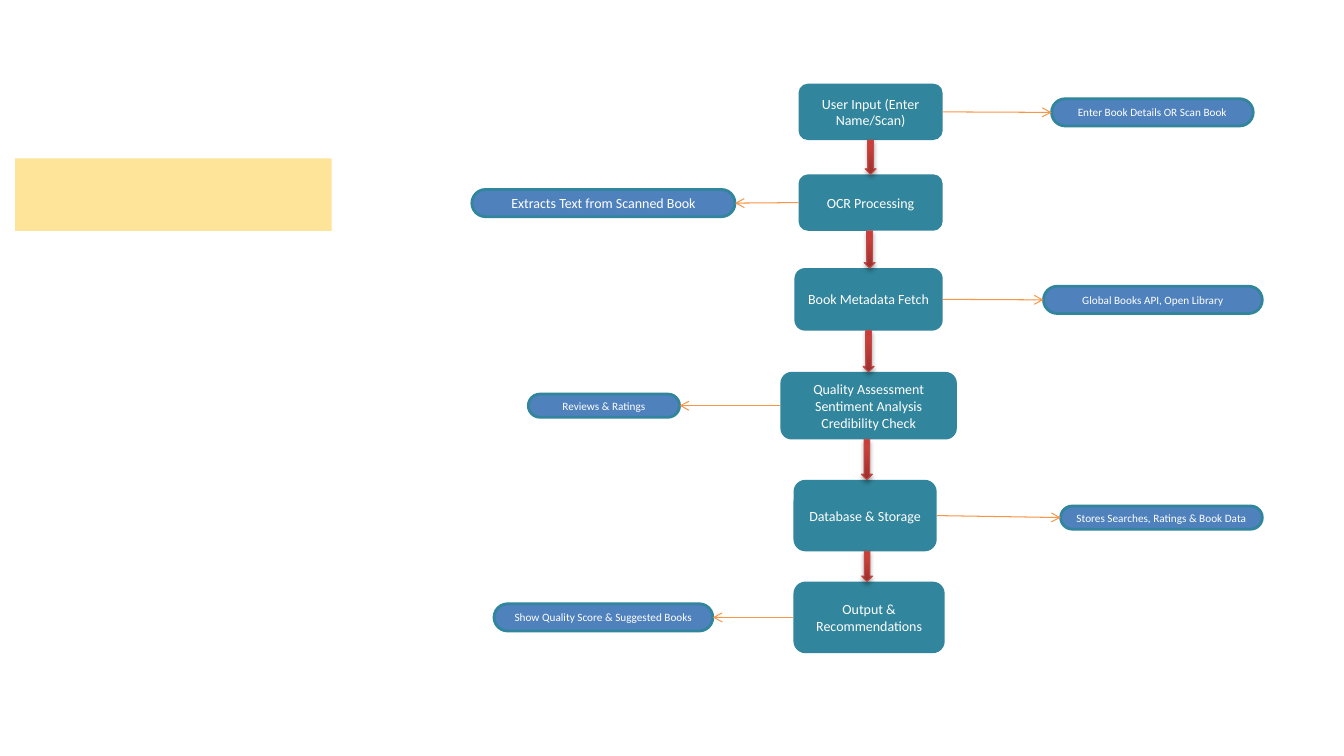
from pptx import Presentation
from pptx.dml.color import RGBColor
from pptx.enum.shapes import MSO_CONNECTOR, MSO_SHAPE
from pptx.enum.text import MSO_ANCHOR, PP_ALIGN
from pptx.oxml import parse_xml
from pptx.oxml.ns import nsdecls, qn
from pptx.util import Inches, Pt

ROUNDED, DOWN_ARROW = MSO_SHAPE.ROUNDED_RECTANGLE, MSO_SHAPE.DOWN_ARROW
RECTANGLE, STRAIGHT = MSO_SHAPE.RECTANGLE, MSO_CONNECTOR.STRAIGHT
MIDDLE, CENTER = MSO_ANCHOR.MIDDLE, PP_ALIGN.CENTER
LEFT_SIDE, RIGHT_SIDE = 1, 3
TEAL, BLUE, ORANGE, RED, YELLOW = "31859C", "4F81BD", "F79646", "BF4C48", "FDE499"

GRADIENT = f"""<a:gradFill {nsdecls('a')} rotWithShape="1"><a:gsLst>
<a:gs pos="0"><a:srgbClr val="9C2F2D"/></a:gs>
<a:gs pos="80000"><a:srgbClr val="CB3E3A"/></a:gs>
<a:gs pos="100000"><a:srgbClr val="CE3B37"/></a:gs>
</a:gsLst><a:lin ang="16200000" scaled="0"/></a:gradFill>"""
SHADOW = f"""<a:outerShdw {nsdecls('a')} blurRad="40000" dist="23000" dir="5400000"
rotWithShape="0"><a:srgbClr val="000000"><a:alpha val="35000"/></a:srgbClr></a:outerShdw>"""


def color(value):
    return RGBColor.from_string(value)


def add_box(bounds, text="", preset=ROUNDED, fill=TEAL, line=None, size=10):
    """Add a flat filled shape with centred white text; bounds are in inches."""
    box = slide.shapes.add_shape(preset, *[Inches(length) for length in bounds])
    box.shadow.inherit = False
    box.fill.solid()
    box.fill.fore_color.rgb = color(fill)
    if line:
        box.line.color.rgb = color(line)
        box.line.width = Pt(2)
    else:
        box.line.fill.background()
    if text:
        frame = box.text_frame
        frame.word_wrap = True
        frame.vertical_anchor = MIDDLE
        para = frame.paragraphs[0]
        para.alignment = CENTER
        span = para.add_run()
        span.text = text
        span.font.name = "Calibri"
        span.font.size = Pt(size)
        span.font.color.rgb = color("FFFFFF")
    return box


deck = Presentation()
deck.slide_width, deck.slide_height = Inches(13.33), Inches(7.5)
slide = deck.slides.add_slide(deck.slide_layouts[6])

add_box((0.15, 1.57, 3.14, 0.72), preset=RECTANGLE, fill=YELLOW)

# Each stage: its text and bounds, then the text, bounds and size of its note
stages = [
    ("User Input (Enter Name/Scan)", (7.92, 0.83, 1.43, 0.56),
     "Enter Book Details OR Scan Book", (10.43, 0.98, 2, 0.27), 8),
    ("OCR Processing", (7.92, 1.73, 1.43, 0.56),
     "Extracts Text from Scanned Book", (4.68, 1.88, 2.61, 0.27), 10),
    ("Book Metadata Fetch", (7.88, 2.66, 1.47, 0.62),
     "Global Books API, Open Library", (10.35, 2.84, 2.17, 0.27), 8),
    ("Quality Assessment Sentiment Analysis Credibility Check", (7.74, 3.69, 1.75, 0.67),
     "Reviews & Ratings", (5.24, 3.91, 1.5, 0.23), 8),
    ("Database & Storage", (7.87, 4.76, 1.42, 0.71),
     "Stores Searches, Ratings & Book Data", (10.52, 5.02, 2, 0.23), 8),
    ("Output & Recommendations", (7.87, 5.77, 1.5, 0.71),
     "Show Quality Score & Suggested Books", (4.9, 5.99, 2.17, 0.27), 8),
]

stage_boxes = []
for stage_text, stage_bounds, note_text, note_bounds, note_size in stages:
    stage = add_box(stage_bounds, stage_text)
    stage_boxes.append(stage)
    note = add_box(note_bounds, note_text, fill=BLUE, line=TEAL, size=note_size)
    note.adjustments[0] = 0.5

    link = slide.shapes.add_connector(STRAIGHT, 0, 0, 0, 0)
    note_on_right = note.left > stage.left
    link.begin_connect(stage, RIGHT_SIDE if note_on_right else LEFT_SIDE)
    link.end_connect(note, LEFT_SIDE if note_on_right else RIGHT_SIDE)
    link.line.color.rgb = color(ORANGE)
    link.line.width = Pt(0.75)
    link.line._get_or_add_ln().append(parse_xml(f'<a:tailEnd {nsdecls("a")} type="arrow"/>'))
    link._element.spPr.append(parse_xml(f'<a:effectLst {nsdecls("a")}/>'))

# Arrows fill the gap between stages, midway between the centres of the two boxes
arrow_width = Inches(0.11)
for upper, lower in zip(stage_boxes, stage_boxes[1:]):
    center = (2 * upper.left + upper.width + 2 * lower.left + lower.width) // 4
    top = upper.top + upper.height
    arrow = slide.shapes.add_shape(DOWN_ARROW, center - arrow_width // 2, top,
                                   arrow_width, lower.top - top)
    arrow.line.color.rgb = color(RED)
    arrow.line.width = Pt(0.75)
    arrow.shadow.inherit = False
    properties = arrow._element.spPr
    properties.find(qn("a:prstGeom")).addnext(parse_xml(GRADIENT))
    properties.find(qn("a:effectLst")).append(parse_xml(SHADOW))

deck.save("out.pptx")
